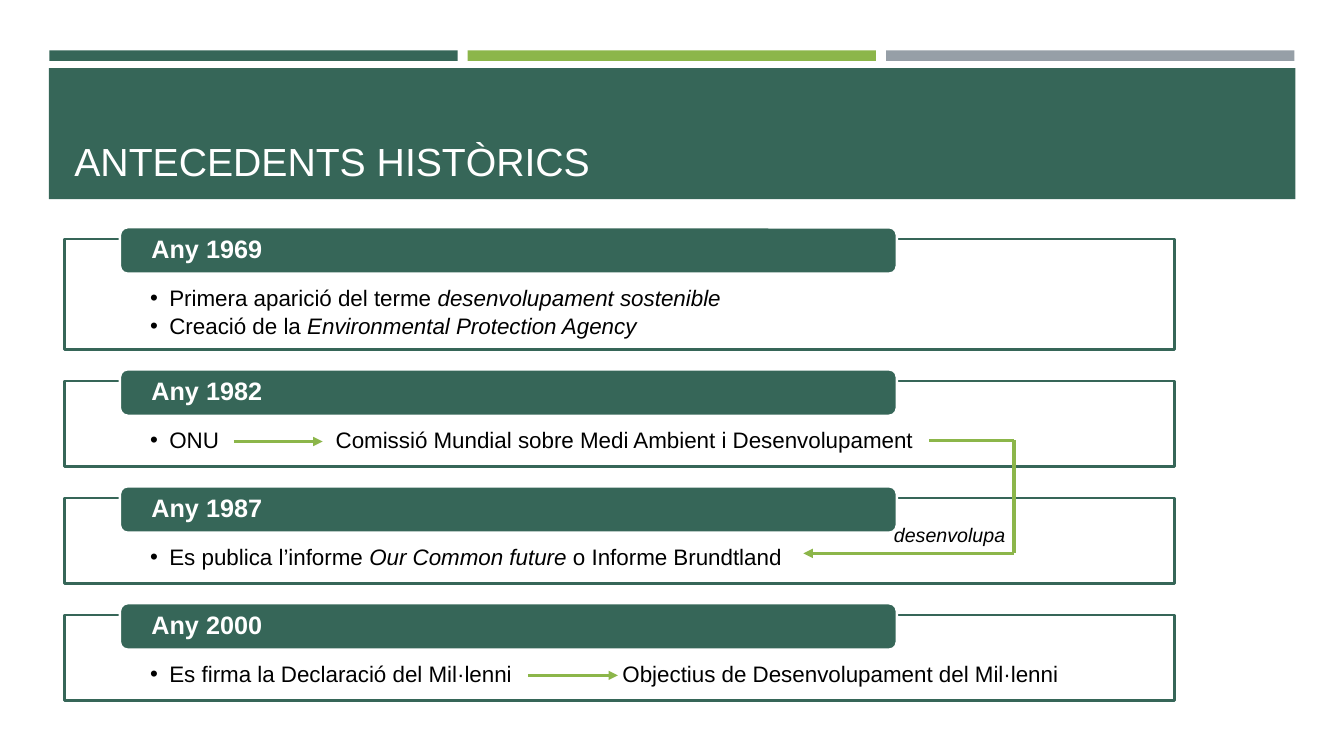
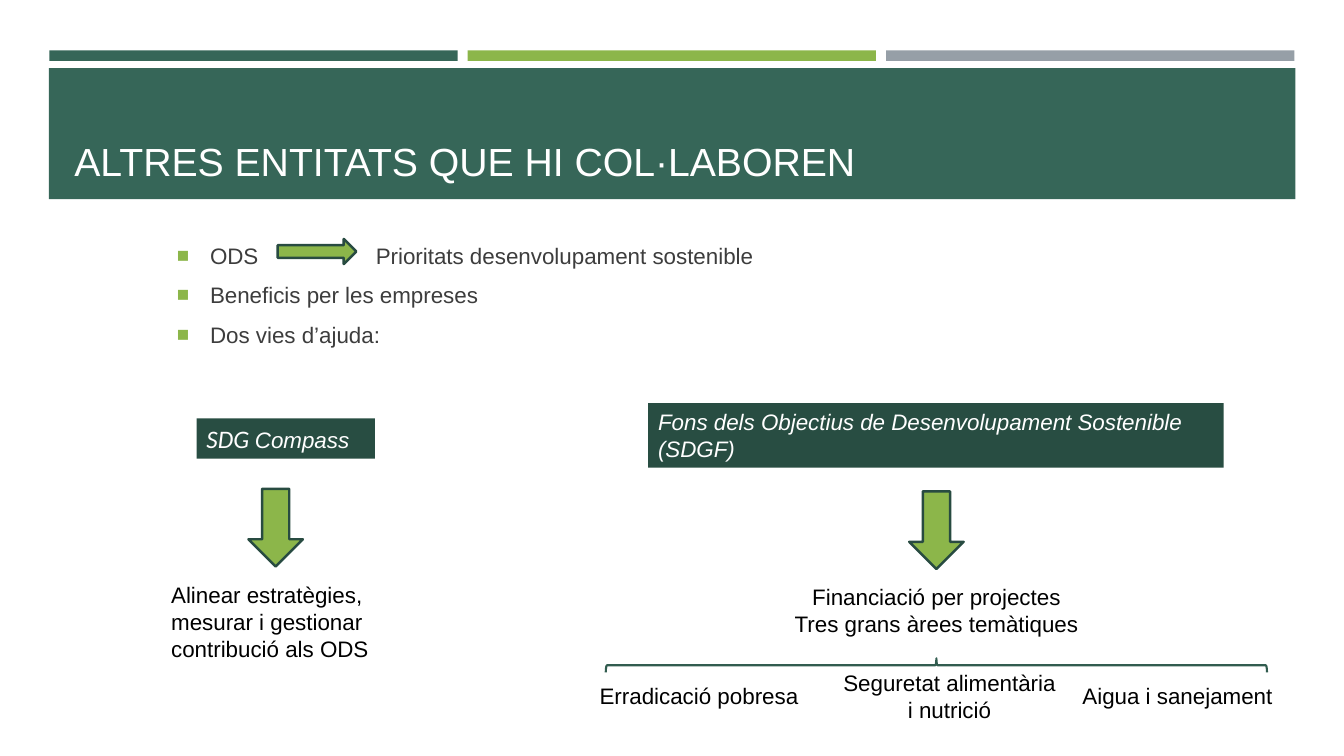
from lxml import etree
from pptx import Presentation
from pptx.dml.color import RGBColor
from pptx.enum.shapes import MSO_CONNECTOR, MSO_SHAPE
from pptx.enum.text import MSO_ANCHOR, PP_ALIGN
from pptx.oxml.ns import qn
from pptx.util import Inches, Pt

RECT, ROUND = MSO_SHAPE.RECTANGLE, MSO_SHAPE.ROUNDED_RECTANGLE
RIGHT, DOWN = MSO_SHAPE.RIGHT_ARROW, MSO_SHAPE.DOWN_ARROW
BRACE, LINE = MSO_SHAPE.RIGHT_BRACE, MSO_CONNECTOR.STRAIGHT
TOP, MID, LOW = MSO_ANCHOR.TOP, MSO_ANCHOR.MIDDLE, MSO_ANCHOR.BOTTOM
LEFT, CENTER = PP_ALIGN.LEFT, PP_ALIGN.CENTER

GREEN, LIME, GRAY = "366658", "8CB64A", "969FA7"
DARK, EDGE, RIM = "284D42", "284B41", "315C4F"
WHITE, BLACK, INK = "FFFFFF", "000000", "3D3D3D"
FONT, SIZE = "Arial", 16
PAD = (1, 0.5, 1, 0.5)

# Grid: square cells, ten to the inch
CELL = Inches(0.1)
COLS, ROWS = 133.33, 75


def grid(*cells):
    return [round(n * CELL) for n in cells]


def color(code):
    return RGBColor.from_string(code)


def shape(slide, kind, box, fill=None, line=None, width=1.75):
    item = slide.shapes.add_shape(kind, *grid(*box))
    item.shadow.inherit = False
    if fill:
        item.fill.solid()
        item.fill.fore_color.rgb = color(fill)
    else:
        item.fill.background()
    if line:
        item.line.color.rgb = color(line)
        item.line.width = Pt(width)
    else:
        item.line.fill.background()
    return item


def bullet(para, sign, indent, tint=None, share=100):
    props = para._p.get_or_add_pPr()
    props.set("marL", str(Inches(indent)))
    props.set("indent", str(-Inches(indent)))
    if tint:
        hue = etree.SubElement(props, qn("a:buClr"))
        etree.SubElement(hue, qn("a:srgbClr")).set("val", tint)
    etree.SubElement(props, qn("a:buSzPct")).set("val", str(share * 1000))
    etree.SubElement(props, qn("a:buFont")).set("typeface", FONT)
    etree.SubElement(props, qn("a:buChar")).set("char", sign)


def write(item, paras, tint=BLACK, size=SIZE, bold=False, align=LEFT,
          anchor=TOP, pad=PAD, mark=None, space=1, after=0):
    """Each paragraph is a list of runs: (text, italic, size, font)."""
    frame = item.text_frame
    frame.word_wrap = True
    frame.vertical_anchor = anchor
    (frame.margin_left, frame.margin_top,
     frame.margin_right, frame.margin_bottom) = grid(*pad)
    for i, runs in enumerate(paras):
        para = frame.add_paragraph() if i else frame.paragraphs[0]
        para.alignment = align
        para.line_spacing = space
        para.space_after = Pt(after)
        if mark:
            bullet(para, *mark)
        for words, slant, points, face in runs:
            run = para.add_run()
            run.text = words
            font = run.font
            font.name, font.size = face, Pt(points or size)
            font.bold, font.italic = bold, slant
            font.color.rgb = color(tint)


def run(words, slant=False, points=None, face=FONT):
    return words, slant, points, face


def text(slide, box, paras, **style):
    write(slide.shapes.add_textbox(*grid(*box)), paras, **style)


def trace(slide, points):
    """Straight lines through the points, with an arrowhead at the end."""
    for start, end in zip(points, points[1:]):
        link = slide.shapes.add_connector(LINE, *grid(*start, *end))
        link.line.color.rgb = color(LIME)
        link.line.width = Pt(2.25)
        if end == points[-1]:
            tail = etree.SubElement(link.line._get_or_add_ln(), qn("a:tailEnd"))
            tail.set("type", "triangle")
        etree.SubElement(link._element.spPr, qn("a:effectLst"))


def base(deck, title):
    """New slide with three strips and the title band."""
    slide = deck.slides.add_slide(deck.slide_layouts[6])
    for i, fill in enumerate((GREEN, LIME, GRAY)):
        shape(slide, RECT, (4.9 + 41.5 * i, 5, 40.5, 1.05), fill)
    shape(slide, RECT, (4.85, 6.75, 123.65, 13), GREEN)
    text(slide, (6.4, 7.7, 120.6, 11.1), [[run(title)]],
         tint=WHITE, size=28, anchor=LOW)
    return slide


def card(slide, box, year, paras, extra=None):
    """Outlined box with a year tab; extra is (column, words)."""
    left, top, wide, high = box
    body = shape(slide, RECT, box, WHITE, GREEN)
    write(body, paras, pad=(8.5, 4.8, 8.5, 1.2), mark=("•", 0.19),
          space=0.9, after=2.5)
    if extra:
        col, words = extra
        text(slide, (left + col, top + 4.8, wide - col, high - 4.8),
             [[run(words)]], pad=(0, 0, 0, 0), space=0.9)
    tab = shape(slide, ROUND, (left + 5.5, top - 1.15, 0.7 * wide, 4.6),
                GREEN, WHITE)
    write(tab, [[run(year)]], tint=WHITE, size=18, bold=True,
          anchor=MID, pad=(2.9, 0, 2.9, 0), space=0.9)


def history(deck):
    slide = base(deck, "ANTECEDENTS HISTÒRICS")
    # Year cards
    cards = [
        (11, "Any 1969", [
            [run("Primera aparició del terme "),
             run("desenvolupament sostenible", True)],
            [run("Creació de la "),
             run("Environmental Protection Agency", True)]], None),
        (8.5, "Any 1982", [[run("ONU")]],
         (26.9, "Comissió Mundial sobre Medi Ambient i Desenvolupament")),
        (8.5, "Any 1987", [
            [run("Es publica l’informe "), run("Our Common future ", True),
             run("o Informe Brundtland")]], None),
        (8.5, "Any 2000", [[run("Es firma la Declaració del Mil·lenni")]],
         (55.35, "Objectius de Desenvolupament del Mil·lenni")),
    ]
    top = 23.7
    for high, year, paras, extra in cards:
        card(slide, (6.4, top, 110.1, high), year, paras, extra)
        top += high + 3.1
    # Arrows
    trace(slide, [(23.2, 43.8), (32, 43.8)])
    trace(slide, [(92.2, 43.7), (100.6, 43.7), (100.6, 54.9), (79.7, 54.9)])
    trace(slide, [(52.4, 67), (61.3, 67)])
    text(slide, (87.7, 51.4, 15.3, 3.4), [[run("desenvolupa", True)]], size=14)


def points(slide, box):
    """Bulleted list with an arrow inside its first line."""
    left, top, wide, high = box
    words = ("ODS", "Beneficis per les empreses", "Dos vies d’ajuda:")
    text(slide, box, [[run(w)] for w in words], tint=INK, after=9,
         mark=("■", 0.33, LIME, 92))
    text(slide, (left + 19.75, top, wide - 19.75, 3.7),
         [[run("Prioritats desenvolupament sostenible")]], tint=INK)
    shape(slide, RIGHT, (left + 11, top + 0.2, 7.8, 2.5), LIME, EDGE)


def way(slide, box, label, mid, drop, paras, wide, align):
    """Label, arrow below it and the result under the arrow."""
    write(shape(slide, RECT, box, DARK), [label], tint=WHITE)
    shape(slide, DOWN, (mid - 2.7, drop, 5.4, 7.7), LIME, EDGE)
    text(slide, (mid - wide / 2, drop + 8.65, wide, 6.4), paras, align=align)


def areas(slide, box):
    """Brace over three equal columns."""
    left, top, wide, high = box
    brace = shape(slide, BRACE, (left + wide / 2 - 0.7, top + 0.7 - wide / 2,
                                 1.4, wide), None, RIM, 1.5)
    brace.rotation = 270
    items = [("Erradicació pobresa", 1.9, LEFT),
             ("Seguretat alimentària i nutrició", 0.6, CENTER),
             ("Aigua i sanejament", 1.9, LEFT)]
    for i, (words, down, align) in enumerate(items):
        text(slide, (left - 1.6 + 23.95 * i, top + down, 23.5, high),
             [[run(words)]], align=align)


def partners(deck):
    slide = base(deck, "ALTRES ENTITATS QUE HI COL·LABOREN")
    points(slide, (16.55, 23.5, 89.9, 14))
    # Two ways of help
    way(slide, (19.5, 41.5, 17.7, 4),
        [run("SDG ", True, 18, "Calibri"), run("Compass", True)], 27.35, 48.5,
        [[run("Alinear estratègies, mesurar i gestionar contribució als ODS")]],
        22.7, LEFT)
    way(slide, (64.3, 40, 57.1, 6.4),
        [run("Fons dels Objectius de Desenvolupament Sostenible (SDGF)", True)],
        92.9, 48.75,
        [[run("Financiació per projectes")],
         [run("Tres grans àrees temàtiques")]], 32.4, CENTER)
    areas(slide, (60.1, 65.3, 65.6, 6.4))


def main():
    deck = Presentation()
    deck.slide_width, deck.slide_height = grid(COLS, ROWS)
    history(deck)
    partners(deck)
    deck.save("out.pptx")


if __name__ == "__main__":
    main()
